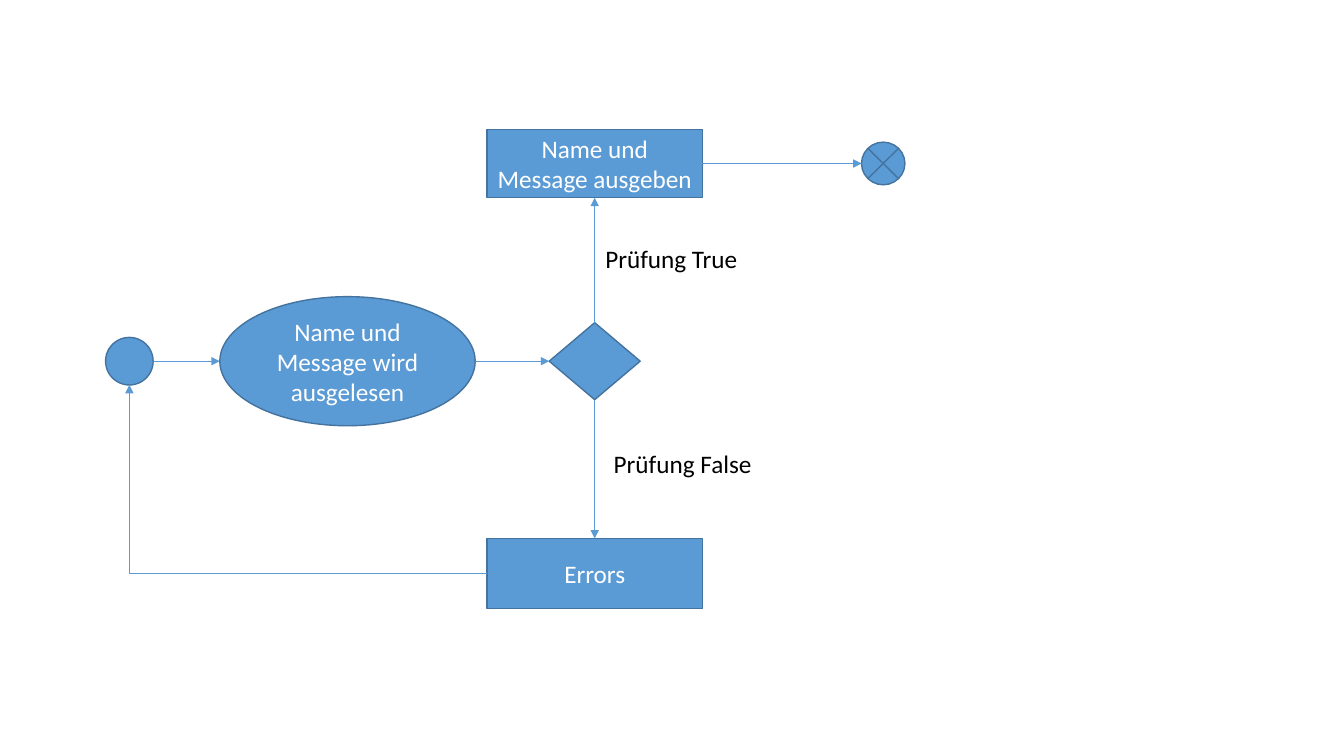
from lxml.etree import SubElement
from pptx import Presentation
from pptx.dml.color import RGBColor
from pptx.enum.shapes import MSO_CONNECTOR, MSO_SHAPE
from pptx.enum.text import MSO_ANCHOR, MSO_AUTO_SIZE, PP_ALIGN
from pptx.oxml.ns import qn
from pptx.util import Pt

BLUE = RGBColor(0x5B, 0x9B, 0xD5)
EDGE = RGBColor(0x43, 0x73, 0x9E)
WHITE = RGBColor(0xFF, 0xFF, 0xFF)
BLACK = RGBColor(0, 0, 0)


def write(frame, text, color):
    run = frame.paragraphs[0].add_run()
    run.text = text
    run.font.name = "Calibri"
    run.font.size = Pt(18)
    run.font.color.rgb = color


def add_node(slide, kind, mid, size, text=""):
    (x, y), (w, h) = mid, size
    node = slide.shapes.add_shape(kind, Pt(x - w / 2), Pt(y - h / 2), Pt(w), Pt(h))
    node.shadow.inherit = False
    node.fill.solid()
    node.fill.fore_color.rgb = BLUE
    node.line.color.rgb = EDGE
    node.line.width = Pt(1)
    if text:
        frame = node.text_frame
        frame.word_wrap = True
        frame.vertical_anchor = MSO_ANCHOR.MIDDLE
        frame.paragraphs[0].alignment = PP_ALIGN.CENTER
        write(frame, text, WHITE)
    return node


def add_label(slide, x, y, w, text):
    label = slide.shapes.add_textbox(Pt(x), Pt(y), Pt(w), Pt(29))
    label.text_frame.word_wrap = True
    label.text_frame.auto_size = MSO_AUTO_SIZE.SHAPE_TO_FIT_TEXT
    write(label.text_frame, text, BLACK)


def port(node, side):
    dx, dy = {"top": (1, 0), "left": (0, 1), "bottom": (1, 2), "right": (2, 1)}[side]
    return node.left + node.width * dx // 2, node.top + node.height * dy // 2


def add_arrow(slide, start, out, end, into, kind=MSO_CONNECTOR.STRAIGHT):
    arrow = slide.shapes.add_connector(kind, *port(start, out), *port(end, into))
    arrow.line.color.rgb = BLUE
    arrow.line.width = Pt(0.5)
    props = arrow.element.spPr
    SubElement(props.find(qn("a:ln")), qn("a:tailEnd"), type="triangle")
    SubElement(props, qn("a:effectLst"))
    return arrow


def add_return(slide, start, end):
    arrow = add_arrow(slide, start, "left", end, "bottom", MSO_CONNECTOR.ELBOW)
    arrow.begin_connect(start, 1)
    link = arrow.element.find(".//" + qn("p:cNvCxnSpPr"))
    SubElement(link, qn("a:endCxn"), id=str(end.shape_id), idx="4")
    props = arrow.element.spPr
    props.find(qn("a:prstGeom")).set("prst", "bentConnector2")
    frame = props.find(qn("a:xfrm"))
    for flip in ("flipH", "flipV"):
        frame.attrib.pop(flip, None)
    frame.set("rot", "10800000")


def add_flow(slide, x, y, w, h):
    row = y + 129
    axis = x + 349.4
    top = y - 12.2
    base = y + h
    start = add_node(slide, MSO_SHAPE.FLOWCHART_CONNECTOR, (x + 17, row), (34, 34))
    read = add_node(slide, MSO_SHAPE.OVAL, (x + 172.8, row), (182.4, 92.2),
                    "Name und Message wird ausgelesen")
    check = add_node(slide, MSO_SHAPE.DIAMOND, (axis, row), (65, 55))
    show = add_node(slide, MSO_SHAPE.RECTANGLE, (axis, top), (154, 49),
                    "Name und Message ausgeben")
    fail = add_node(slide, MSO_SHAPE.RECTANGLE, (axis, base), (154, 50), "Errors")
    stop = add_node(slide, MSO_SHAPE.FLOWCHART_SUMMING_JUNCTION,
                    (x + w - 15.5, top), (31, 30.5))
    add_label(slide, axis + 0.5, row - 88, 169, "Prüfung True")
    add_label(slide, axis + 6.5, row + 59, 114.5, "Prüfung False")
    add_arrow(slide, start, "right", read, "left")
    add_arrow(slide, read, "right", check, "left")
    add_arrow(slide, check, "top", show, "bottom")
    add_arrow(slide, check, "bottom", fail, "top")
    add_arrow(slide, show, "right", stop, "left")
    add_return(slide, fail, start)


def main():
    deck = Presentation()
    deck.slide_width = Pt(960)
    deck.slide_height = Pt(540)
    slide = deck.slides.add_slide(deck.slide_layouts[6])
    add_flow(slide, 75.4, 129, 571, 280.7)
    deck.save("out.pptx")


if __name__ == "__main__":
    main()
